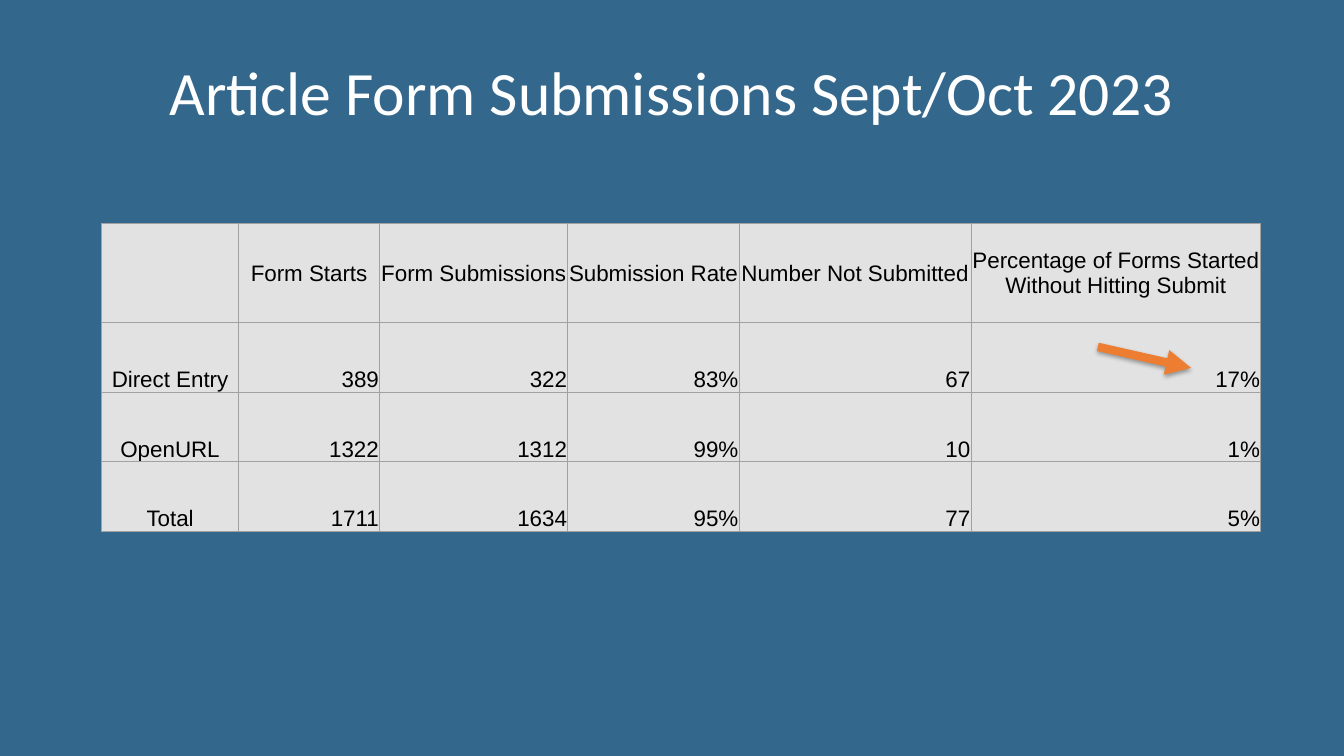
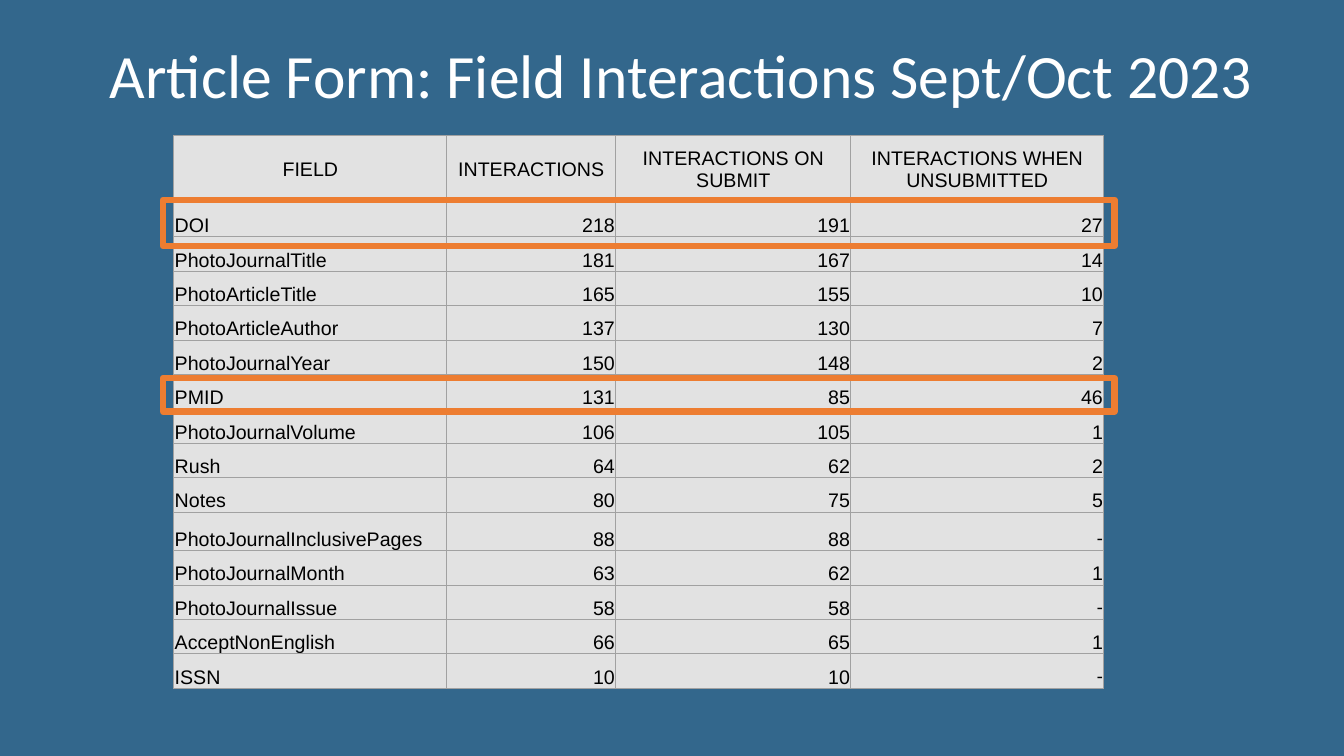
from lxml import etree
from pptx import Presentation
from pptx.dml.color import RGBColor
from pptx.enum.shapes import MSO_CONNECTOR, MSO_SHAPE
from pptx.enum.text import MSO_ANCHOR, PP_ALIGN
from pptx.oxml import parse_xml
from pptx.oxml.ns import qn
from pptx.util import Pt

PX = 7620
LEFT, CENTER, RIGHT = PP_ALIGN.LEFT, PP_ALIGN.CENTER, PP_ALIGN.RIGHT
MIDDLE, BOTTOM = MSO_ANCHOR.MIDDLE, MSO_ANCHOR.BOTTOM
RECTANGLE, STRAIGHT = MSO_SHAPE.RECTANGLE, MSO_CONNECTOR.STRAIGHT
COLORS = {
    "background": "33678C",
    "title": "FFFFFF",
    "cell": "E2E2E2",
    "border": "A1A1A1",
    "text": "000000",
    "accent": "ED7D31",
}
TITLE_FONT, TABLE_FONT = "Calibri", "Arial"
DRAWING_NS = "http://schemas.openxmlformats.org/drawingml/2006/main"
ARROW_SHADOW = (
    f'<a:effectLst xmlns:a="{DRAWING_NS}">'
    '<a:outerShdw blurRad="40000" dist="23000" dir="5400000" rotWithShape="0">'
    '<a:srgbClr val="000000"><a:alpha val="35000"/></a:srgbClr>'
    "</a:outerShdw></a:effectLst>"
)

SUBMISSIONS = [
    ("", "Form Starts", "Form Submissions", "Submission Rate",
     "Number Not Submitted", "Percentage of Forms Started Without Hitting Submit"),
    ("Direct Entry", "389", "322", "83%", "67", "17%"),
    ("OpenURL", "1322", "1312", "99%", "10", "1%"),
    ("Total", "1711", "1634", "95%", "77", "5%"),
]
INTERACTIONS = [
    ("FIELD", "INTERACTIONS", "INTERACTIONS ON SUBMIT", "INTERACTIONS WHEN UNSUBMITTED"),
    ("DOI", "218", "191", "27"),
    ("PhotoJournalTitle", "181", "167", "14"),
    ("PhotoArticleTitle", "165", "155", "10"),
    ("PhotoArticleAuthor", "137", "130", "7"),
    ("PhotoJournalYear", "150", "148", "2"),
    ("PMID", "131", "85", "46"),
    ("PhotoJournalVolume", "106", "105", "1"),
    ("Rush", "64", "62", "2"),
    ("Notes", "80", "75", "5"),
    ("PhotoJournalInclusivePages", "88", "88", "-"),
    ("PhotoJournalMonth", "63", "62", "1"),
    ("PhotoJournalIssue", "58", "58", "-"),
    ("AcceptNonEnglish", "66", "65", "1"),
    ("ISSN", "10", "10", "-"),
]


def px(*lengths):
    return [length * PX for length in lengths]


def color(name):
    return RGBColor.from_string(COLORS[name])


def add_run(paragraph, text, font, size, color_name):
    run = paragraph.add_run()
    run.text = text
    run.font.name = font
    run.font.size = Pt(size)
    run.font.color.rgb = color(color_name)


def add_title(slide, text, left, top, width, height):
    frame = slide.shapes.add_textbox(*px(left, top, width, height)).text_frame
    frame.word_wrap = True
    frame.vertical_anchor = MIDDLE
    paragraph = frame.paragraphs[0]
    paragraph.alignment = CENTER
    paragraph.line_spacing = 0.9
    add_run(paragraph, text, TITLE_FONT, 44, "title")


def add_borders(cell):
    properties = cell._tc.get_or_add_tcPr()
    for side in ("a:lnL", "a:lnR", "a:lnT", "a:lnB"):
        border = etree.SubElement(properties, qn(side), w=str(Pt(0.75)))
        fill = etree.SubElement(border, qn("a:solidFill"))
        etree.SubElement(fill, qn("a:srgbClr"), val=COLORS["border"])


def fill_cell(cell, text, size, alignment, anchor):
    add_borders(cell)
    cell.fill.solid()
    cell.fill.fore_color.rgb = color("cell")
    cell.margin_left = cell.margin_right = cell.margin_top = PX
    cell.margin_bottom = 0
    cell.vertical_anchor = anchor
    paragraph = cell.text_frame.paragraphs[0]
    paragraph.alignment = alignment
    if text:
        font = TITLE_FONT if text == "-" else TABLE_FONT
        add_run(paragraph, text, font, size, "text")


def add_data_table(slide, records, left, top, widths, heights, size, label_alignment):
    table = slide.shapes.add_table(
        len(heights), len(widths), *px(left, top, sum(widths), sum(heights))
    ).table
    table.first_row = table.horz_banding = False
    for column, width in zip(table.columns, px(*widths)):
        column.width = width
    for row, height in zip(table.rows, px(*heights)):
        row.height = height
    for r, record in enumerate(records):
        for c, text in enumerate(record):
            if r == 0:
                alignment, anchor = CENTER, MIDDLE
            else:
                alignment, anchor = (RIGHT if c else label_alignment), BOTTOM
            fill_cell(table.cell(r, c), text, size, alignment, anchor)


def add_arrow(slide, *ends):
    arrow = slide.shapes.add_connector(STRAIGHT, *px(*ends))
    arrow.line.color.rgb = color("accent")
    arrow.line.width = Pt(6)
    etree.SubElement(arrow.line._get_or_add_ln(), qn("a:tailEnd"), type="triangle")
    arrow._element.spPr.append(parse_xml(ARROW_SHADOW))


def add_highlight(slide, left, top, width, height):
    highlight = slide.shapes.add_shape(RECTANGLE, *px(left, top, width, height))
    highlight.shadow.inherit = False
    highlight.fill.background()
    highlight.line.color.rgb = color("accent")
    highlight.line.width = Pt(4.5)


def build_submissions(slide):
    add_title(slide, "Article Form Submissions Sept/Oct 2023", 110, 34, 1380, 160)
    add_data_table(slide, SUBMISSIONS, 121, 266, [163, 168, 224, 204, 276, 345],
                   [118] + [83] * 3, 16, CENTER)
    add_arrow(slide, 1307, 413, 1418, 438)


def build_interactions(slide):
    add_title(slide, "Article Form: Field Interactions Sept/Oct 2023", 110, 14, 1404, 160)
    add_data_table(slide, INTERACTIONS, 207, 161, [325, 201, 280, 301],
                   [80] + [41] * 9 + [46] + [41] * 4, 14, LEFT)
    for top, height in ((238, 55), (450, 40)):
        add_highlight(slide, 194, top, 1133, height)


def main():
    deck = Presentation()
    deck.slide_width, deck.slide_height = px(1600, 900)
    backdrop = deck.slide_master.background.fill
    backdrop.solid()
    backdrop.fore_color.rgb = color("background")
    blank = deck.slide_layouts[6]
    for build in (build_submissions, build_interactions):
        build(deck.slides.add_slide(blank))
    deck.save("out.pptx")


if __name__ == "__main__":
    main()
